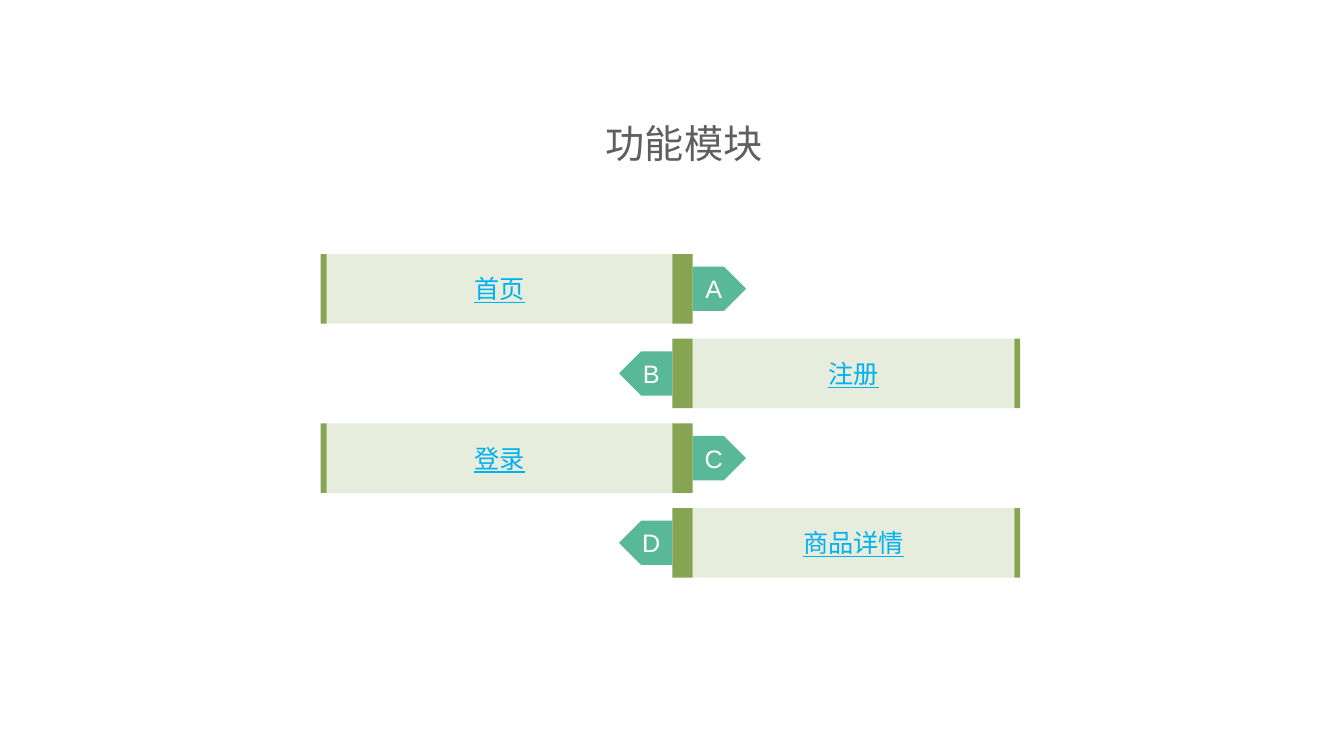
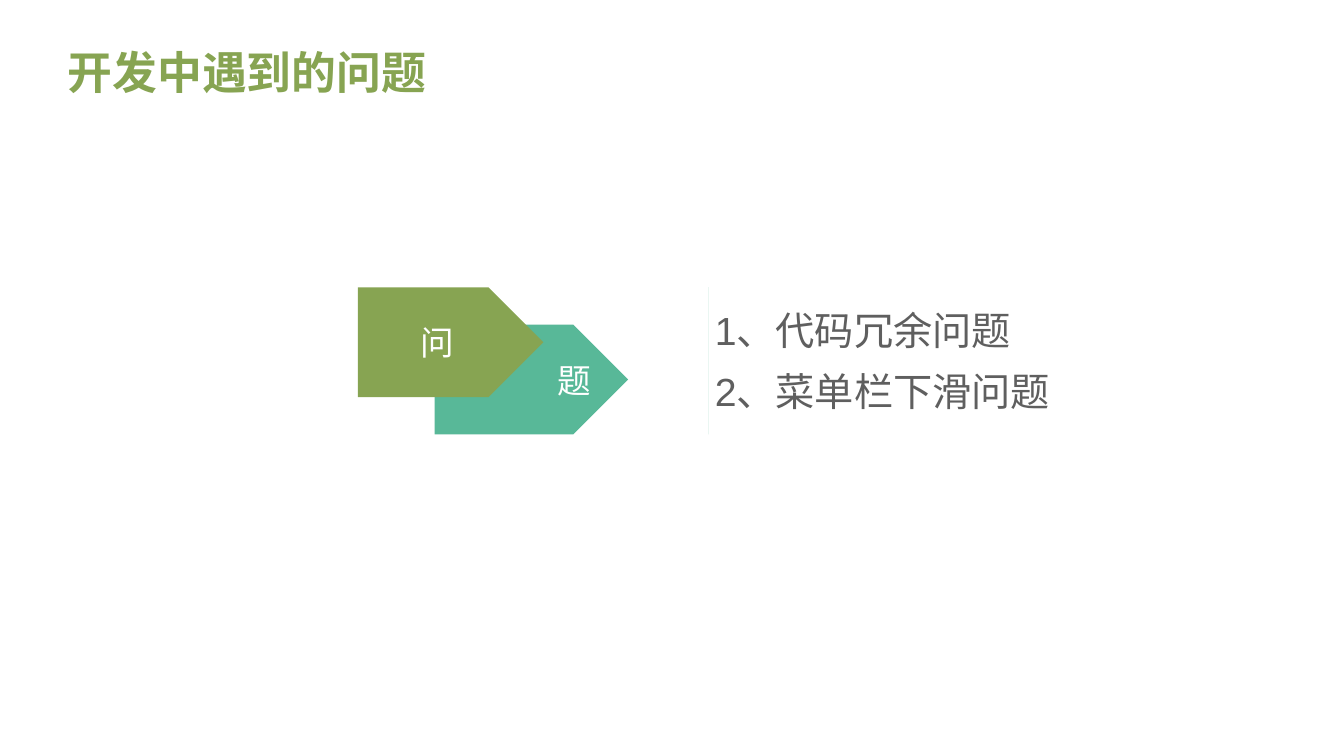
from lxml.etree import SubElement
from pptx import Presentation
from pptx.dml.color import RGBColor
from pptx.enum.shapes import MSO_SHAPE
from pptx.enum.text import MSO_ANCHOR, MSO_AUTO_SIZE, PP_ALIGN
from pptx.oxml.ns import qn
from pptx.util import Inches, Pt

# Content
MODULES_TITLE = "功能模块"
MODULES = [("A", "首页"), ("B", "注册"), ("C", "登录"), ("D", "商品详情")]
PROBLEMS_TITLE = "开发中遇到的问题"
PROBLEMS = ["1、代码冗余问题", "2、菜单栏下滑问题"]
# Back arrow first: text, position and size, colour, alignment
ARROWS = [
    ("题", (4.31, 3.22, 1.92, 1.09), "58B898", PP_ALIGN.RIGHT),
    ("问", (3.55, 2.85, 1.84, 1.09), "87A452", PP_ALIGN.CENTER),
]

# Shared style
GREEN, TEAL, PALE = "87A452", "58B898", "E7EDDC"
GREY, LINK, WHITE, TAG_INK = "5F5F5F", "00B0F0", "FFFFFF", "FEFFFF"
FONT, CJK_FONT = "Arial", "Noto Sans CJK SC"
TITLE_ONLY = 5

# Module rows: a shared spine, with bars alternating left and right
ROW_TOP, ROW_PITCH, ROW_HEIGHT = 2.52, 0.84, 0.69
SPINE_LEFT, SPINE_RIGHT = 6.67, 6.87
LEFT_EDGE, RIGHT_EDGE, EDGE_WIDTH = 3.18, 10.06, 0.06
TAG_WIDTH, TAG_HEIGHT = 0.53, 0.44


def color(value):
    return RGBColor.from_string(value)


def paint(shape, fill):
    shape.shadow.inherit = False
    shape.fill.solid()
    shape.fill.fore_color.rgb = color(fill)
    shape.line.fill.background()


def style_paragraph(para, size, ink, align, font=FONT, spacing=None, bold=False, underline=False):
    para.alignment = align
    if spacing:
        para.line_spacing = spacing
    para.space_before = Pt(0)
    for span in para.runs:
        span.font.name = font
        span.font.size = Pt(size)
        span.font.bold = bold
        span.font.underline = underline
        span.font.color.rgb = color(ink)
        if font == CJK_FONT:
            SubElement(span.font._element, qn("a:ea")).set("typeface", font)


def add_block(shapes, kind, box, fill, text="", size=18, ink=WHITE,
              align=PP_ALIGN.CENTER, underline=False, flip=False):
    shape = shapes.add_shape(kind, *map(Inches, box))
    paint(shape, fill)
    if flip:
        shape._element.spPr.find(qn("a:xfrm")).set("flipH", "1")
    if text:
        frame = shape.text_frame
        frame.text = text
        frame.vertical_anchor = MSO_ANCHOR.MIDDLE
        style_paragraph(frame.paragraphs[0], size, ink, align, underline=underline)


def add_page(deck, title, box, anchor, **style):
    page = deck.slides.add_slide(deck.slide_layouts[TITLE_ONLY])
    heading = page.shapes.title
    heading.left, heading.top, heading.width, heading.height = map(Inches, box)
    frame = heading.text_frame
    frame.text = title
    frame.word_wrap = True
    frame.auto_size = MSO_AUTO_SIZE.NONE
    frame.vertical_anchor = anchor
    style_paragraph(frame.paragraphs[0], **style)
    return page


def add_module(page, index, letter, name):
    top = ROW_TOP + index * ROW_PITCH
    tag_top = top + (ROW_HEIGHT - TAG_HEIGHT) / 2
    on_right = index % 2 == 1
    if on_right:
        bar_left, bar_right = SPINE_RIGHT, RIGHT_EDGE
        edge_left, tag_left = RIGHT_EDGE, SPINE_LEFT - TAG_WIDTH
    else:
        bar_left, bar_right = LEFT_EDGE + EDGE_WIDTH, SPINE_LEFT
        edge_left, tag_left = LEFT_EDGE, SPINE_RIGHT
    shapes = page.shapes.add_group_shape().shapes
    add_block(shapes, MSO_SHAPE.RECTANGLE, (bar_left, top, bar_right - bar_left, ROW_HEIGHT),
              PALE, name, ink=LINK, underline=True)
    add_block(shapes, MSO_SHAPE.PENTAGON, (tag_left, tag_top, TAG_WIDTH, TAG_HEIGHT),
              TEAL, letter, ink=TAG_INK, flip=on_right)
    for left, width in ((edge_left, EDGE_WIDTH), (SPINE_LEFT, SPINE_RIGHT - SPINE_LEFT)):
        add_block(shapes, MSO_SHAPE.RECTANGLE, (left, top, width, ROW_HEIGHT), GREEN)


def build_modules(deck):
    page = add_page(deck, MODULES_TITLE, (4.72, 0.99, 4.13, 0.63), MSO_ANCHOR.MIDDLE,
                    size=28, ink=GREY, align=PP_ALIGN.CENTER, font=CJK_FONT, spacing=1.5)
    for index, (letter, name) in enumerate(MODULES):
        add_module(page, index, letter, name)


def add_problem_list(page, box):
    # A hairline down the left side; the last move widens the outline for the text
    left, top, width, height = map(Inches, box)
    outline = page.shapes.build_freeform(left, top)
    outline.add_line_segments([(left, top + height), (left, top)], close=True)
    outline.move_to(left + width, top + height)
    panel = outline.convert_to_shape()
    paint(panel, TEAL)
    frame = panel.text_frame
    frame.text = "\n".join(PROBLEMS)
    frame.word_wrap = True
    frame.vertical_anchor = MSO_ANCHOR.TOP
    frame.margin_left = frame.margin_right = Inches(0.06)
    frame.margin_top = frame.margin_bottom = Inches(0.05)
    for para in frame.paragraphs:
        style_paragraph(para, 28, GREY, PP_ALIGN.LEFT, spacing=1.3)


def build_problems(deck):
    page = add_page(deck, PROBLEMS_TITLE, (0.57, 0.26, 9.07, 0.77), MSO_ANCHOR.BOTTOM,
                    size=32, ink=GREEN, align=PP_ALIGN.LEFT, spacing=0.9, bold=True)
    for text, box, fill, align in ARROWS:
        add_block(page.shapes, MSO_SHAPE.PENTAGON, box, fill, text, size=24, align=align)
    add_problem_list(page, (7.03, 2.85, 3.73, 1.46))


def main():
    deck = Presentation()
    deck.slide_width, deck.slide_height = Inches(13.33), Inches(7.5)
    build_modules(deck)
    build_problems(deck)
    deck.save("out.pptx")


if __name__ == "__main__":
    main()
